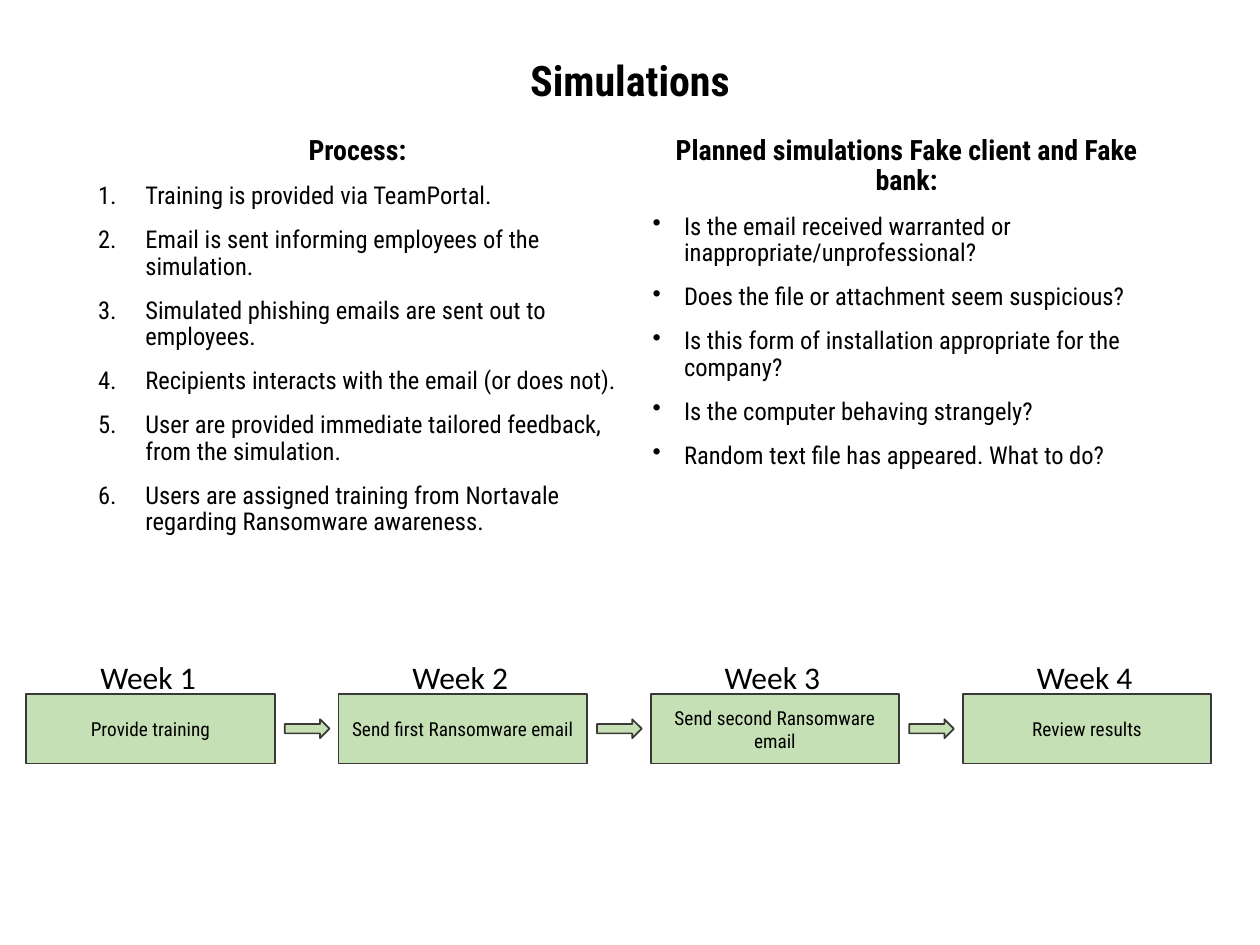
from dataclasses import dataclass

from lxml import etree
from pptx import Presentation
from pptx.dml.color import RGBColor
from pptx.enum import shapes, text
from pptx.oxml import ns
from pptx.util import Pt


@dataclass(frozen=True)
class Theme:
    ink: RGBColor = RGBColor(0x00, 0x00, 0x00)
    fill: RGBColor = RGBColor(0xC5, 0xE0, 0xB4)
    outline: RGBColor = RGBColor(0x3B, 0x38, 0x38)
    main_font: str = "Roboto Condensed"
    label_font: str = "Calibri"
    title_size: int = 24
    heading_size: int = 16
    list_size: int = 14
    label_size: int = 18
    step_size: int = 11


class SlideBuilder:
    """Draws styled elements on one slide; lengths are in points."""

    def __init__(self, slide, theme):
        self.slide = slide
        self.theme = theme

    def format_runs(self, paragraph, size, bold=False, font_name=None):
        for run in paragraph.runs:
            run.font.name = font_name or self.theme.main_font
            run.font.size = Pt(size)
            run.font.bold = bold
            run.font.color.rgb = self.theme.ink

    def title(self, words, left, top, width, height):
        shape = self.slide.shapes.title
        shape.left, shape.top = Pt(left), Pt(top)
        shape.width, shape.height = Pt(width), Pt(height)
        frame = shape.text_frame
        frame.text = words
        frame.vertical_anchor = text.MSO_ANCHOR.MIDDLE
        paragraph = frame.paragraphs[0]
        paragraph.alignment = text.PP_ALIGN.CENTER
        paragraph.line_spacing = 0.9
        self.format_runs(paragraph, self.theme.title_size, bold=True)

    def text_frame(self, left, top, width, height):
        box = self.slide.shapes.add_textbox(Pt(left), Pt(top), Pt(width), Pt(height))
        box.text_frame.word_wrap = True
        return box.text_frame

    def list_column(self, heading, items, marker, indent, left, top, width, height):
        """Adds a centred heading over a list; marker is a bullet tag and its attributes."""
        frame = self.text_frame(left, top, width, height)
        first = frame.paragraphs[0]
        first.text = heading
        first.alignment = text.PP_ALIGN.CENTER
        first.line_spacing = 0.9
        self.format_runs(first, self.theme.heading_size, bold=True)
        tag, attributes = marker
        for item in items:
            paragraph = frame.add_paragraph()
            paragraph.text = item
            properties = paragraph._p.get_or_add_pPr()
            properties.set("marL", str(Pt(indent)))
            properties.set("indent", str(-Pt(indent)))
            etree.SubElement(properties, ns.qn(tag), attributes)
            paragraph.line_spacing = 0.9
            paragraph.space_before = Pt(10)
            self.format_runs(paragraph, self.theme.list_size)

    def block(self, kind, left, top, width, height):
        shape = self.slide.shapes.add_shape(kind, Pt(left), Pt(top), Pt(width), Pt(height))
        shape.shadow.inherit = False
        shape.fill.solid()
        shape.fill.fore_color.rgb = self.theme.fill
        shape.line.color.rgb = self.theme.outline
        shape.line.width = Pt(1)
        return shape

    def step(self, words, left, top, width, height):
        shape = self.block(shapes.MSO_SHAPE.RECTANGLE, left, top, width, height)
        frame = shape.text_frame
        frame.text = words
        frame.word_wrap = True
        frame.vertical_anchor = text.MSO_ANCHOR.MIDDLE
        frame.paragraphs[0].alignment = text.PP_ALIGN.CENTER
        self.format_runs(frame.paragraphs[0], self.theme.step_size)

    def arrow(self, left, top, width, height):
        self.block(shapes.MSO_SHAPE.RIGHT_ARROW, left, top, width, height)

    def label(self, words, left, top, width, height):
        frame = self.text_frame(left, top, width, height)
        frame.text = words
        self.format_runs(frame.paragraphs[0], self.theme.label_size,
                         font_name=self.theme.label_font)


PROCESS = [
    "Training is provided via TeamPortal.",
    "Email is sent informing employees of the simulation.",
    "Simulated phishing emails are sent out to employees.",
    "Recipients interacts with the email (or does not).",
    "User are provided immediate tailored feedback, from the simulation.",
    "Users are assigned training from Nortavale regarding Ransomware awareness.",
]
QUESTIONS = [
    "Is the email received warranted or inappropriate/unprofessional?",
    "Does the file or attachment seem suspicious?",
    "Is this form of installation appropriate for the company?",
    "Is the computer behaving strangely?",
    "Random text file has appeared. What to do?",
]
WEEKLY_STEPS = [
    "Provide training",
    "Send first Ransomware email",
    "Send second Ransomware email",
    "Review results",
]
NUMBERED = ("a:buAutoNum", {"type": "arabicPeriod"})
BULLETED = ("a:buChar", {"char": "•"})
WEEK_PITCH = 178.4


def main():
    presentation = Presentation()
    presentation.slide_width, presentation.slide_height = Pt(720), Pt(540)
    slide = presentation.slides.add_slide(presentation.slide_layouts[5])
    builder = SlideBuilder(slide, Theme())

    builder.title("Simulations", 49.5, 28.8, 621, 37.5)
    builder.list_column("Process:", PROCESS, NUMBERED, 27, 49, 74.2, 310.5, 249)
    builder.list_column("Planned simulations Fake client and Fake bank:", QUESTIONS,
                        BULLETED, 18, 365.8, 74.2, 304.5, 241)

    for index, words in enumerate(WEEKLY_STEPS):
        offset = index * WEEK_PITCH
        builder.step(words, 15 + offset, 396.7, 142, 39.6)
        builder.label(f"Week {index + 1}", 50.2 + offset, 372.2, 71.3, 29)
        if index < len(WEEKLY_STEPS) - 1:
            builder.arrow(162.8 + offset, 411, 25.5, 10.8)

    presentation.save("out.pptx")


if __name__ == "__main__":
    main()
